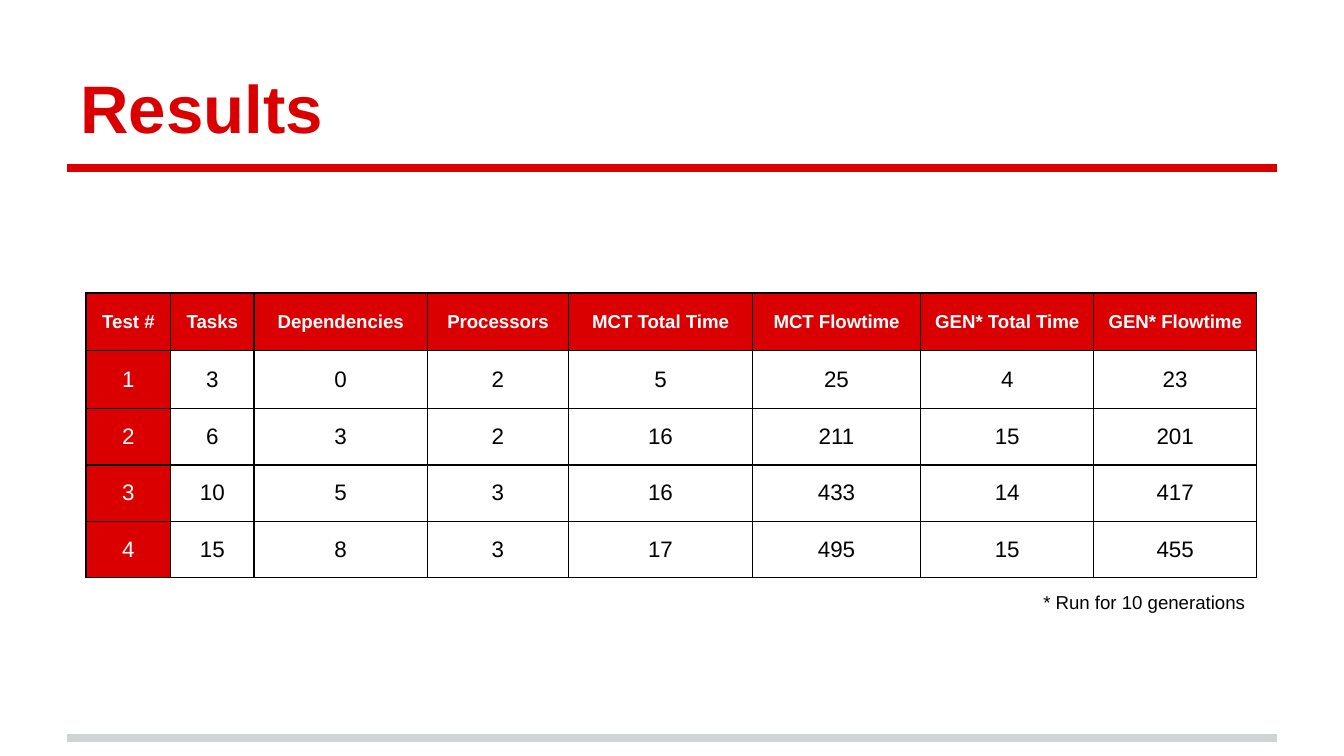
from lxml import etree
from pptx import Presentation
from pptx.dml.color import RGBColor
from pptx.enum.shapes import MSO_CONNECTOR
from pptx.enum.text import MSO_ANCHOR, PP_ALIGN
from pptx.oxml.ns import qn
from pptx.util import Inches, Pt

STRAIGHT = MSO_CONNECTOR.STRAIGHT
TOP, MIDDLE, BOTTOM = MSO_ANCHOR.TOP, MSO_ANCHOR.MIDDLE, MSO_ANCHOR.BOTTOM
LEFT, CENTER, RIGHT = PP_ALIGN.LEFT, PP_ALIGN.CENTER, PP_ALIGN.RIGHT

COLORS = {"red": "DA0002", "gray": "CFD4D4", "black": "000000", "white": "FFFFFF"}
FONT = "Arial"
INSET = Inches(0.1)
SLIDE_WIDTH = Inches(10)
SLIDE_HEIGHT = SLIDE_WIDTH * 9 // 16

HEADERS = ["Test #", "Tasks", "Dependencies", "Processors", "MCT Total Time",
           "MCT Flowtime", "GEN* Total Time", "GEN* Flowtime"]
RESULTS = [
    (1, 3, 0, 2, 5, 25, 4, 23),
    (2, 6, 3, 2, 16, 211, 15, 201),
    (3, 10, 5, 3, 16, 433, 14, 417),
    (4, 15, 8, 3, 17, 495, 15, 455),
]
COLUMN_WIDTHS = [0.63, 0.62, 1.29, 1.05, 1.37, 1.25, 1.29, 1.21]
ROW_HEIGHTS = [0.43, 0.43, 0.42, 0.42, 0.42]
TABLE_LEFT, TABLE_TOP = 0.64, 2.18

RULES = [(5.49, "gray"), (1.25, "red")]
TEXTS = [
    {"text": "Results", "box": (0.5, 0.25, 9, 0.94), "anchor": BOTTOM,
     "align": LEFT, "size": 36, "color": "red", "bold": True},
    {"text": "* Run for 10 generations", "box": (7.57, 4.31, 1.79, 0.33),
     "anchor": TOP, "align": RIGHT, "size": 10, "color": "black", "bold": False},
]


def rgb(name):
    return RGBColor.from_string(COLORS[name])


def write(frame, text, align, size, color, bold):
    paragraph = frame.paragraphs[0]
    paragraph.alignment = align
    run = paragraph.add_run()
    run.text = text
    font_format = {"name": FONT, "size": Pt(size), "bold": bold}
    for attribute, value in font_format.items():
        setattr(run.font, attribute, value)
    run.font.color.rgb = rgb(color)


def set_insets(target):
    for side in ("left", "right", "top", "bottom"):
        setattr(target, f"margin_{side}", INSET)


def add_rule(slide, y, color):
    rule = slide.shapes.add_connector(
        STRAIGHT, Inches(0.5), Inches(y), Inches(9.5), Inches(y))
    rule.line.color.rgb = rgb(color)
    rule.line.width = Pt(4)
    etree.SubElement(rule._element.spPr, qn("a:effectLst"))


def add_text(slide, text, box, anchor, **style):
    frame = slide.shapes.add_textbox(*map(Inches, box)).text_frame
    frame.word_wrap = True
    frame.vertical_anchor = anchor
    set_insets(frame)
    write(frame, text, **style)


def add_borders(cell):
    properties = cell._tc.get_or_add_tcPr()
    for side in ("lnL", "lnR", "lnT", "lnB"):
        line = etree.SubElement(properties, qn(f"a:{side}"), w=str(Pt(0.75)))
        fill = etree.SubElement(line, qn("a:solidFill"))
        etree.SubElement(fill, qn("a:srgbClr"), val=COLORS["black"])


def fill_cell(cell, text, is_header, is_red):
    cell.vertical_anchor = MIDDLE
    set_insets(cell)
    add_borders(cell)
    if is_red:
        cell.fill.solid()
        cell.fill.fore_color.rgb = rgb("red")
    else:
        cell.fill.background()
    write(cell.text_frame, text, CENTER, 10 if is_header else 12,
          "white" if is_red else "black", is_header)


def add_results_table(slide):
    rows = [HEADERS, *RESULTS]
    table = slide.shapes.add_table(
        len(rows), len(HEADERS), Inches(TABLE_LEFT), Inches(TABLE_TOP),
        Inches(sum(COLUMN_WIDTHS)), Inches(sum(ROW_HEIGHTS))).table
    table.first_row = table.horz_banding = False
    for column, width in zip(table.columns, COLUMN_WIDTHS):
        column.width = Inches(width)
    for row, height in zip(table.rows, ROW_HEIGHTS):
        row.height = Inches(height)
    for r, values in enumerate(rows):
        for c, value in enumerate(values):
            fill_cell(table.cell(r, c), str(value), r == 0, r == 0 or c == 0)


def main():
    presentation = Presentation()
    presentation.slide_width = SLIDE_WIDTH
    presentation.slide_height = SLIDE_HEIGHT
    slide = presentation.slides.add_slide(presentation.slide_layouts[6])
    title, footnote = TEXTS
    for y, color in RULES:
        add_rule(slide, y, color)
    add_text(slide, **title)
    add_results_table(slide)
    add_text(slide, **footnote)
    presentation.save("out.pptx")


if __name__ == "__main__":
    main()
